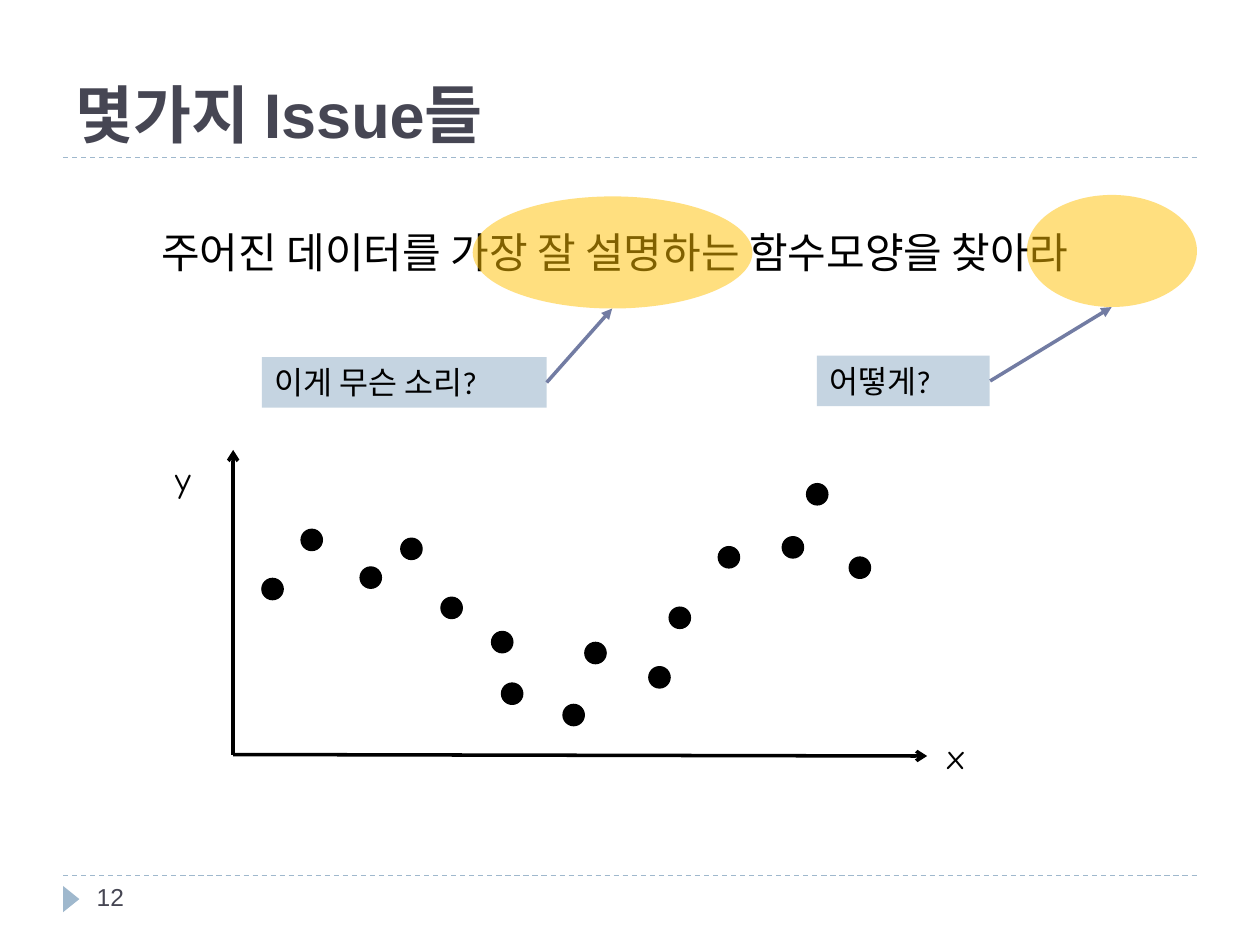
from dataclasses import dataclass

from lxml import etree
from pptx import Presentation
from pptx import util as u
from pptx.dml.color import RGBColor
from pptx.enum import dml, shapes, text
from pptx.oxml.ns import qn


@dataclass(frozen=True)
class Theme:
    ink: str = "000000"
    heading: str = "464653"
    rule: str = "9FB8CD"
    label: str = "C5D4E1"
    pointer: str = "727CA3"
    highlight: str = "FFC000"
    sans: str = "Arial"
    label_font: str = "Calibri"
    axis_font: str = "Comic Neue"
    title_size: int = 36
    statement_size: int = 24
    axis_size: int = 20
    label_size: int = 18
    number_size: int = 14


@dataclass(frozen=True)
class Area:
    """A frame in centimetres."""
    left: float
    top: float
    width: float
    height: float

    def lengths(self):
        return [u.Cm(n) for n in (self.left, self.top, self.width, self.height)]


@dataclass(frozen=True)
class Line:
    start: tuple[float, float]
    end: tuple[float, float]
    color: str
    weight: float = 2
    head: str = ""
    dashed: bool = False


@dataclass(frozen=True)
class Caption:
    words: str
    area: Area
    font: str
    size: int
    color: str = Theme.ink
    wrap: bool = False


@dataclass(frozen=True)
class Question:
    """A highlighted phrase with a label pointing at it."""
    caption: Caption
    oval: Area
    pointer: Line


THEME = Theme()
DOT_SIZE = 0.43
DOTS = [
    (5.28, 11.66), (6.07, 10.67), (7.26, 11.43), (8.08, 10.85), (8.89, 12.04),
    (9.91, 12.73), (10.11, 13.77), (11.35, 14.2), (11.79, 12.95), (13.08, 13.44),
    (13.49, 12.24), (14.48, 11.02), (15.77, 10.82), (16.26, 9.75), (17.12, 11.23),
]
ORIGIN = (4.7, 15.21)
LINES = [
    *(Line((1.27, y), (24.13, y), THEME.rule, 0.75, dashed=True) for y in (17.65, 3.18)),
    Line(ORIGIN, (18.69, 15.24), THEME.ink, head="arrow"),
    Line(ORIGIN, (4.7, 9.07), THEME.ink, head="arrow"),
]
CAPTIONS = [
    Caption("12", Area(1.7, 17.65, 5.51, 1.02), THEME.sans, THEME.number_size,
            THEME.heading, True),
    Caption("주어진 데이터를 가장 잘 설명하는 함수모양을 찾아라",
            Area(3, 4.45, 21.13, 1.27), THEME.sans, THEME.statement_size),
    Caption("x", Area(18.85, 14.68, 0.94, 1.12), THEME.axis_font, THEME.axis_size),
    Caption("y", Area(3.28, 9.09, 0.89, 1.12), THEME.axis_font, THEME.axis_size),
]
QUESTIONS = [
    Question(
        Caption("이게 무슨 소리?", Area(5.28, 7.2, 5.74, 1.02),
                THEME.label_font, THEME.label_size, wrap=True),
        Area(9.53, 3.96, 5.64, 2.26),
        Line((11.02, 7.71), (12.34, 6.22), THEME.pointer, head="triangle")),
    Question(
        Caption("어떻게?", Area(16.47, 7.17, 3.48, 1.02),
                THEME.label_font, THEME.label_size, wrap=True),
        Area(20.7, 3.93, 3.43, 2.26),
        Line((19.96, 7.68), (22.41, 6.19), THEME.pointer, head="triangle")),
]


def set_values(target, values: dict) -> None:
    for name, value in values.items():
        setattr(target, name, value)


def write(shape, caption: Caption, anchor=text.MSO_ANCHOR.TOP, bold=False) -> None:
    frame = shape.text_frame
    set_values(frame, {"word_wrap": caption.wrap, "vertical_anchor": anchor,
                       "auto_size": text.MSO_AUTO_SIZE.NONE})
    para = frame.paragraphs[0]
    para.alignment = text.PP_ALIGN.LEFT
    span = para.add_run()
    span.text = caption.words
    set_values(span.font, {"name": caption.font, "size": u.Pt(caption.size), "bold": bold})
    span.font.color.rgb = RGBColor.from_string(caption.color)


def add_caption(page, caption: Caption) -> None:
    write(page.shapes.add_textbox(*caption.area.lengths()), caption)


def add_solid(page, kind, area: Area, color: str, outlined=False):
    shape = page.shapes.add_shape(kind, *area.lengths())
    shape.shadow.inherit = False
    shape.fill.solid()
    shape.fill.fore_color.rgb = RGBColor.from_string(color)
    if outlined:
        shape.line.color.rgb = RGBColor.from_string(color)
        shape.line.width = u.Pt(0.75)
    else:
        shape.line.fill.background()
    return shape


def add_line(page, line: Line) -> None:
    ends = [u.Cm(n) for n in (*line.start, *line.end)]
    connector = page.shapes.add_connector(shapes.MSO_CONNECTOR.STRAIGHT, *ends)
    connector.line.color.rgb = RGBColor.from_string(line.color)
    connector.line.width = u.Pt(line.weight)
    if line.dashed:
        connector.line.dash_style = dml.MSO_LINE.DASH
    if line.head:
        etree.SubElement(connector.line._get_or_add_ln(), qn("a:tailEnd"), type=line.head)
    etree.SubElement(connector._element.spPr, qn("a:effectLst"))


def add_question(page, question: Question) -> None:
    oval = add_solid(page, shapes.MSO_SHAPE.OVAL, question.oval, THEME.highlight)
    color = oval._element.spPr.find(qn("a:solidFill"))[0]
    etree.SubElement(color, qn("a:alpha"), val="50000")
    label = add_solid(page, shapes.MSO_SHAPE.RECTANGLE, question.caption.area, THEME.label)
    write(label, question.caption)
    add_line(page, question.pointer)


def add_title(page, caption: Caption) -> None:
    title = page.shapes.title
    names = ("left", "top", "width", "height")
    set_values(title, dict(zip(names, caption.area.lengths())))
    write(title, caption, text.MSO_ANCHOR.BOTTOM, bold=True)


def main() -> None:
    deck = Presentation()
    set_values(deck, {"slide_width": u.Cm(25.4), "slide_height": u.Cm(19.05)})
    page = deck.slides.add_slide(deck.slide_layouts[5])
    add_title(page, Caption("몇가지 Issue들", Area(1.27, 0.43, 22.86, 2.74),
                            THEME.sans, THEME.title_size, THEME.heading, True))
    marker = add_solid(page, shapes.MSO_SHAPE.ISOSCELES_TRIANGLE,
                       Area(1.17, 17.96, 0.53, 0.33), THEME.rule)
    marker.rotation = 90
    for caption in CAPTIONS:
        add_caption(page, caption)
    for left, top in DOTS:
        add_solid(page, shapes.MSO_SHAPE.OVAL, Area(left, top, DOT_SIZE, DOT_SIZE),
                  THEME.ink, outlined=True)
    for line in LINES:
        add_line(page, line)
    for question in QUESTIONS:
        add_question(page, question)
    deck.save("out.pptx")


if __name__ == "__main__":
    main()
